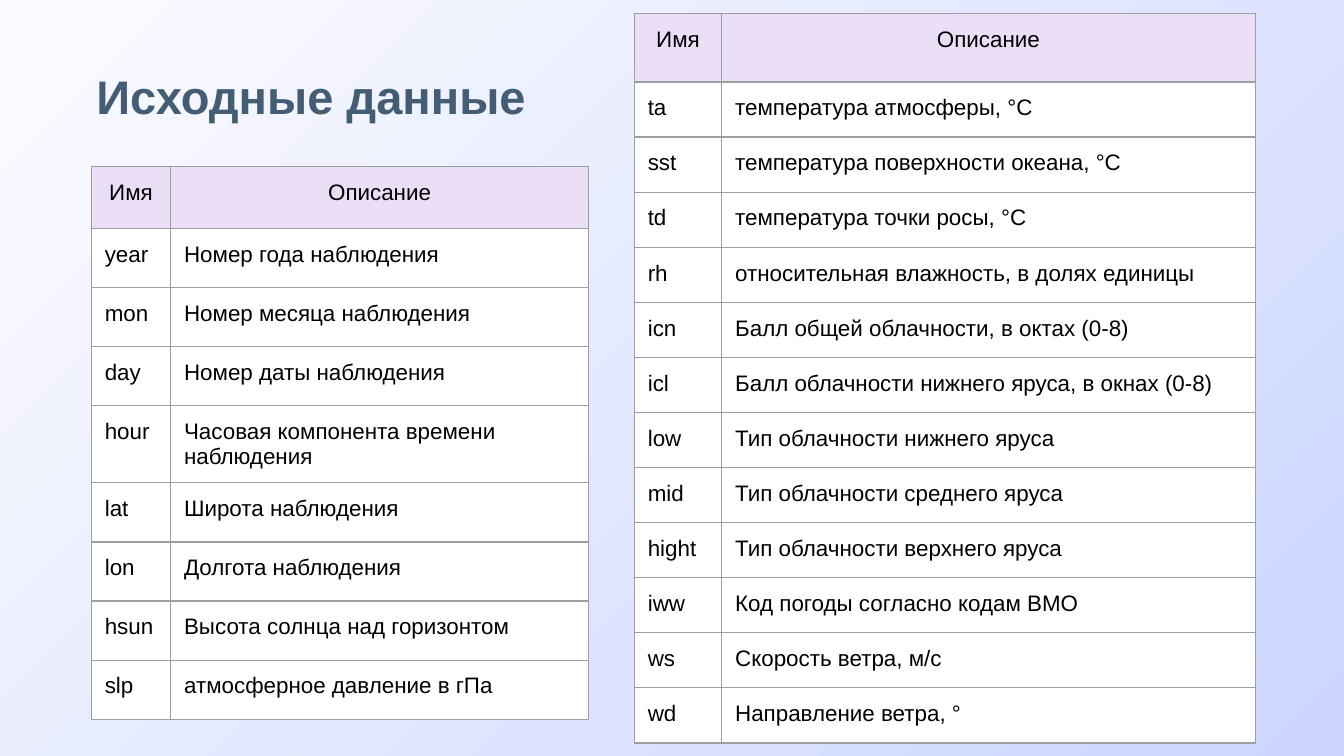
from lxml import etree
from pptx import Presentation
from pptx.dml.color import RGBColor
from pptx.enum.text import MSO_ANCHOR, PP_ALIGN
from pptx.oxml.ns import qn
from pptx.util import Inches, Pt

CENTER, LEFT = PP_ALIGN.CENTER, PP_ALIGN.LEFT
MIDDLE, TOP = MSO_ANCHOR.MIDDLE, MSO_ANCHOR.TOP
FONT = "Arial"
PAD = Inches(0.1)

HEAD = ("Имя", "Описание")
TIME_ROWS = [
    ("year", "Номер года наблюдения"),
    ("mon", "Номер месяца наблюдения"),
    ("day", "Номер даты наблюдения"),
    ("hour", "Часовая компонента времени наблюдения"),
    ("lat", "Широта наблюдения"),
    ("lon", "Долгота наблюдения"),
    ("hsun", "Высота солнца над горизонтом"),
    ("slp", "атмосферное давление в гПа"),
]
AIR_ROWS = [
    ("ta", "температура атмосферы, °С"),
    ("sst", "температура поверхности океана, °С"),
    ("td", "температура точки росы, °С"),
    ("rh", "относительная влажность, в долях единицы"),
    ("icn", "Балл общей облачности, в октах (0-8)"),
    ("icl", "Балл облачности нижнего яруса, в окнах (0-8)"),
    ("low", "Тип облачности нижнего яруса"),
    ("mid", "Тип облачности среднего яруса"),
    ("hight", "Тип облачности верхнего яруса"),
    ("iww", "Код погоды согласно кодам ВМО"),
    ("ws", "Скорость ветра, м/с"),
    ("wd", "Направление ветра, °"),
]


def color(code):
    return RGBColor.from_string(code)


def write(frame, text, size, code, align, bold=False):
    para = frame.paragraphs[0]
    para.alignment = align
    run = para.add_run()
    run.text = text
    font = run.font
    font.name, font.size, font.bold = FONT, Pt(size), bold
    font.color.rgb = color(code)


def add_back(slide):
    fill = slide.background.fill
    fill.gradient()
    fill.gradient_angle = 315
    for stop, code in zip(fill.gradient_stops, ("FBFBFF", "CBD5FF")):
        stop.color.rgb = color(code)


def add_title(slide, text):
    title = slide.shapes.title
    title.left, title.top = Inches(0.41), Inches(0.4)
    title.width, title.height = Inches(3.81), Inches(0.63)
    frame = title.text_frame
    frame.margin_left = frame.margin_right = PAD
    frame.margin_top = frame.margin_bottom = PAD
    frame.vertical_anchor = MIDDLE
    frame.word_wrap = True
    write(frame, text, 25.2, "435D74", CENTER, True)


def add_edges(cell, code, width):
    props = cell._tc.get_or_add_tcPr()
    for side in ("a:lnL", "a:lnR", "a:lnT", "a:lnB"):
        line = etree.SubElement(props, qn(side), w=str(Pt(width)))
        fill = etree.SubElement(line, qn("a:solidFill"))
        etree.SubElement(fill, qn("a:srgbClr"), val=code)


def fill_cell(cell, text, head):
    add_edges(cell, "9E9E9E", 0.75)
    cell.fill.solid()
    cell.fill.fore_color.rgb = color("EBDFF7" if head else "FFFFFF")
    cell.margin_left = cell.margin_right = PAD
    cell.margin_top = cell.margin_bottom = PAD
    cell.vertical_anchor = TOP
    write(cell.text_frame, text, 12, "000000", CENTER if head else LEFT)


def add_grid(slide, left, top, widths, head_high, row_high, rows):
    data = [HEAD] + rows
    highs = [head_high] + [row_high] * len(rows)
    table = slide.shapes.add_table(
        len(data), len(widths), Inches(left), Inches(top),
        Inches(sum(widths)), Inches(sum(highs))).table
    for col, width in zip(table.columns, widths):
        col.width = Inches(width)
    for i, (texts, high) in enumerate(zip(data, highs)):
        table.rows[i].height = Inches(high)
        for j, text in enumerate(texts):
            fill_cell(table.cell(i, j), text, i == 0)


def main():
    deck = Presentation()
    deck.slide_width = Inches(10)
    deck.slide_height = deck.slide_width * 9 // 16
    slide = deck.slides.add_slide(deck.slide_layouts[5])
    add_back(slide)
    add_title(slide, "Исходные данные")
    # Time and place of observation
    add_grid(slide, 0.68, 1.24, (0.59, 3.11), 0.46, 0.44, TIME_ROWS)
    # Weather values
    add_grid(slide, 4.72, 0.1, (0.65, 3.97), 0.51, 0.41, AIR_ROWS)
    deck.save("out.pptx")


if __name__ == "__main__":
    main()
